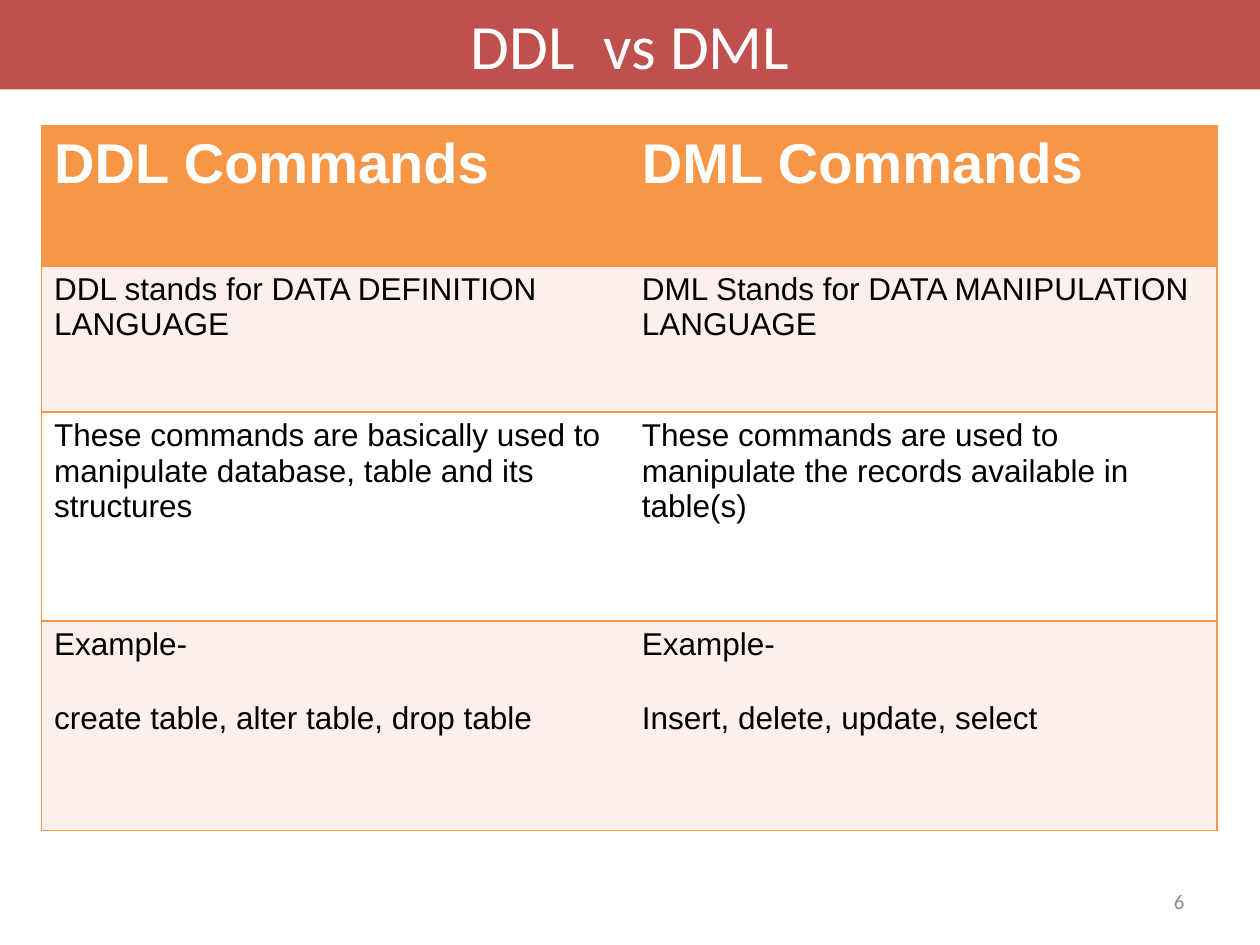
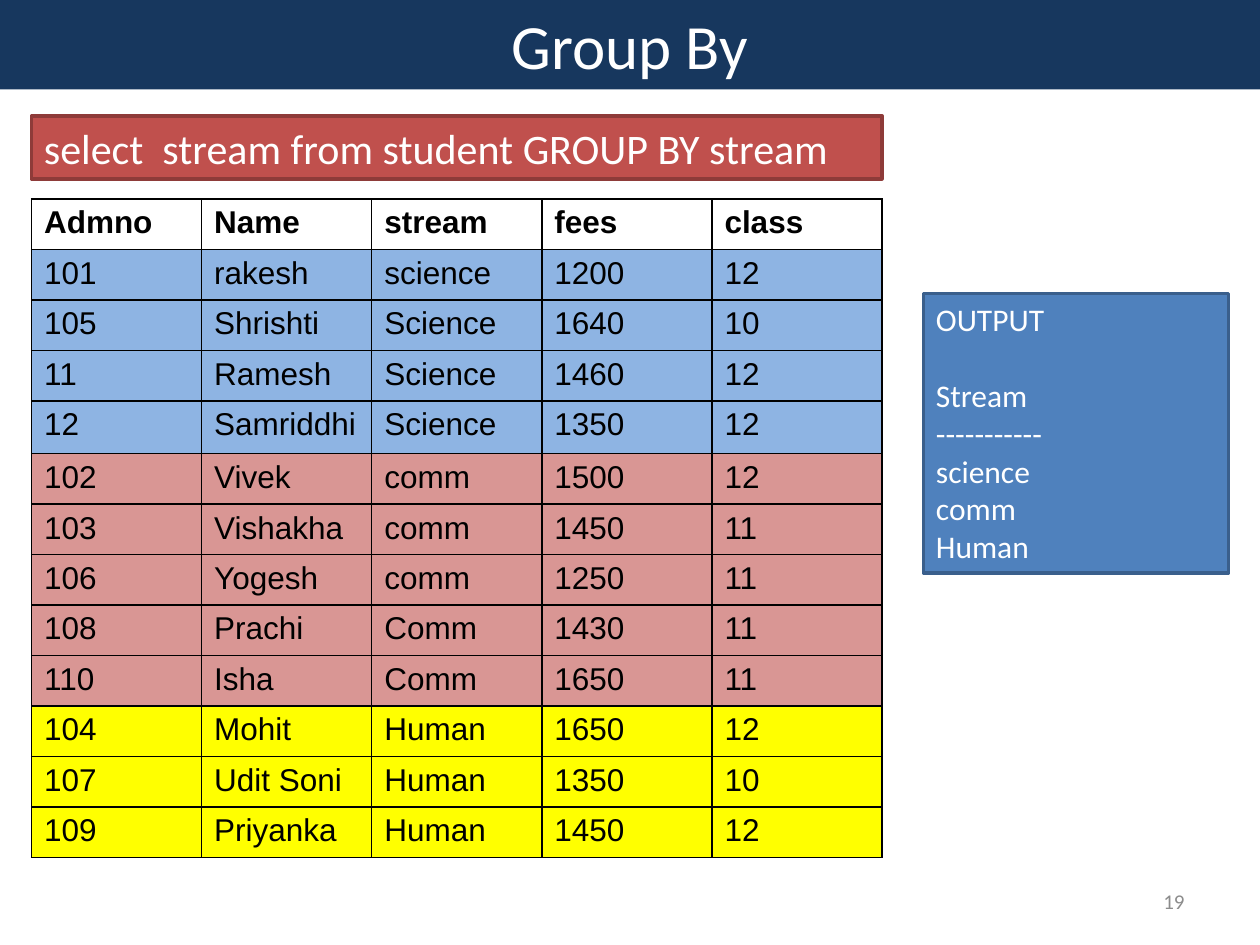
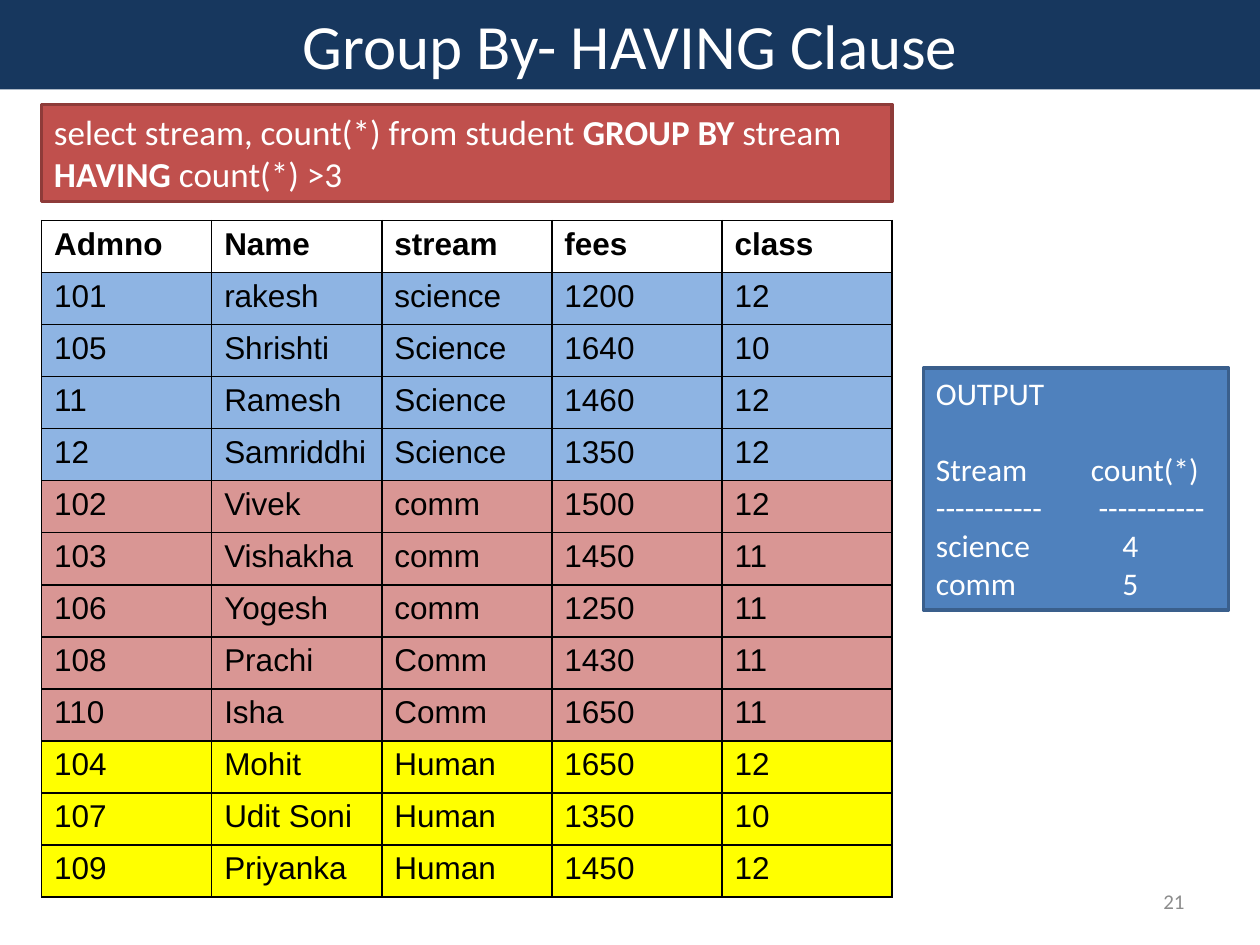
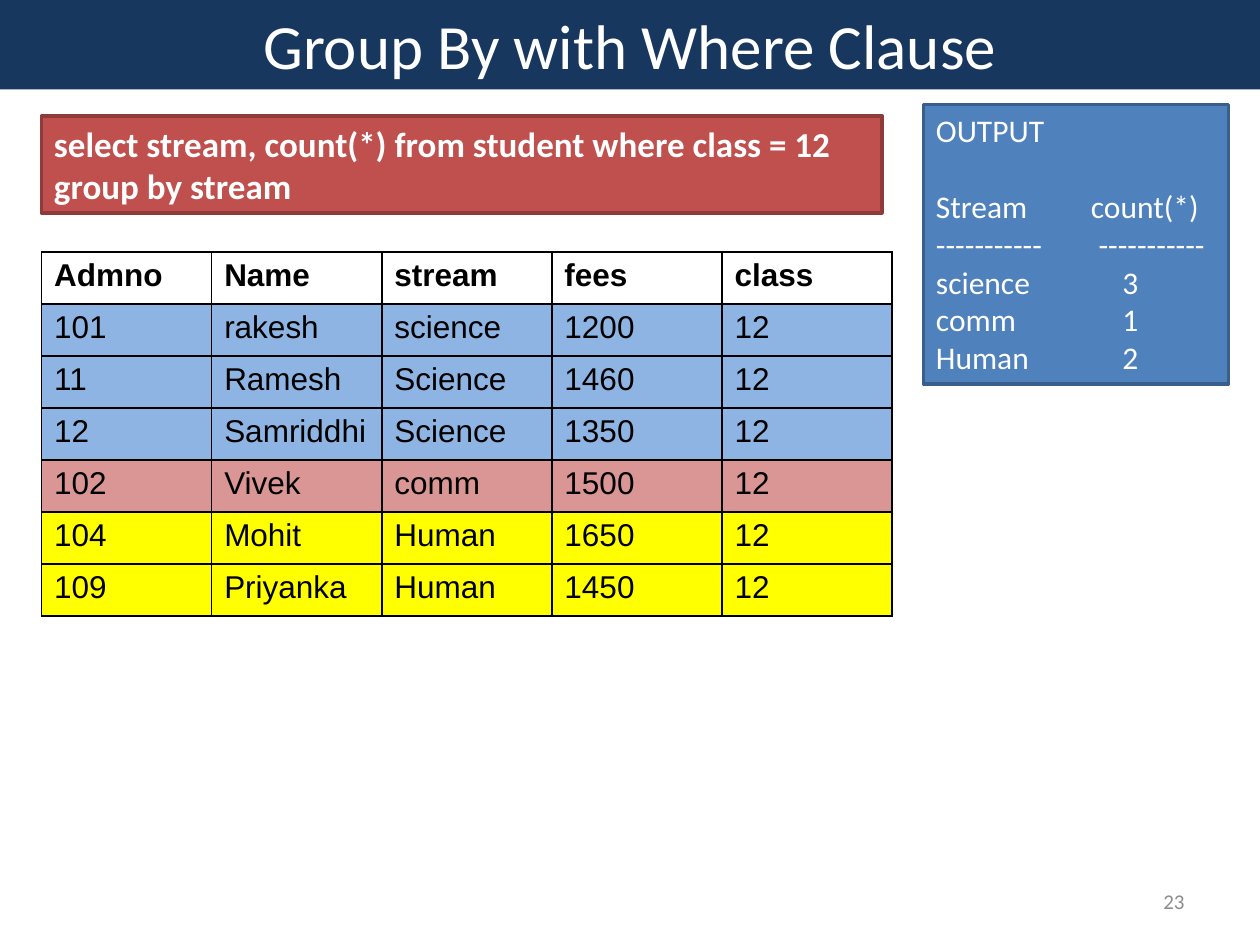
"""Build four slides on SQL commands and grouping."""
import dataclasses

import lxml.etree
import pptx
import pptx.dml.color
import pptx.enum.shapes
import pptx.enum.text
import pptx.oxml.ns
import pptx.util

Inches = pptx.util.Inches
Pt = pptx.util.Pt
RGB = pptx.dml.color.RGBColor.from_string
qn = pptx.oxml.ns.qn
Align = pptx.enum.text.PP_ALIGN
Anchor = pptx.enum.text.MSO_ANCHOR
Fit = pptx.enum.text.MSO_AUTO_SIZE


@dataclasses.dataclass(frozen=True)
class Theme:
    head: str = "Calibri"
    body: str = "Arial"
    white: str = "FFFFFF"
    black: str = "000000"
    grey: str = "8C8C8C"
    navy: str = "17375E"
    red: str = "C0504D"
    maroon: str = "8E3B39"
    blue: str = "4F81BD"
    steel: str = "3A5F8C"
    orange: str = "F79646"
    peach: str = "FDEFE9"
    sky: str = "8EB4E3"
    rose: str = "D99694"
    yellow: str = "FFFF00"
    title: int = 36
    banner: int = 32
    text: int = 18
    note: int = 12
    gap: int = 22


look = Theme()


def write(frame, lines, size, tint, face, align=Align.LEFT, gap=0):
    """Fill a frame with lines of (text, bold) runs, with a gap after the first."""
    frame.word_wrap = True
    for i, line in enumerate(lines):
        para = frame.paragraphs[0] if i == 0 else frame.add_paragraph()
        para.alignment = align
        if i == 0 and gap:
            para.space_after = Pt(gap)
        for text, bold in line:
            run = para.add_run()
            run.text = text
            run.font.size = Pt(size)
            run.font.name = face
            run.font.bold = bold
            run.font.color.rgb = RGB(tint)


def grid(slide, left, top, width, highs, cols):
    """Add an unstyled table with equal columns and the given row heights."""
    frame = slide.shapes.add_table(
        len(highs), cols, Inches(left), Inches(top), Inches(width), Inches(sum(highs)))
    table = frame.table
    table.first_row = table.horz_banding = False
    style = table._tbl.tblPr.find(qn("a:tableStyleId"))
    style.text = "{2D5ABB26-0587-4C30-8999-92F81FD0307C}"
    for row, high in zip(table.rows, highs):
        row.height = Inches(high)
    for col in table.columns:
        col.width = Inches(width / cols)
    return table


students = [
    ("101", "rakesh", "science", "1200", "12"),
    ("105", "Shrishti", "Science", "1640", "10"),
    ("11", "Ramesh", "Science", "1460", "12"),
    ("12", "Samriddhi", "Science", "1350", "12"),
    ("102", "Vivek", "comm", "1500", "12"),
    ("103", "Vishakha", "comm", "1450", "11"),
    ("106", "Yogesh", "comm", "1250", "11"),
    ("108", "Prachi", "Comm", "1430", "11"),
    ("110", "Isha", "Comm", "1650", "11"),
    ("104", "Mohit", "Human", "1650", "12"),
    ("107", "Udit Soni", "Human", "1350", "10"),
    ("109", "Priyanka", "Human", "1450", "12"),
]
fields = ("Admno", "Name", "stream", "fees", "class")
tints = {"science": look.sky, "comm": look.rose, "human": look.yellow}
senior = [row for row in students if row[4] == "12"]
dash = "-" * 11
counts = ["OUTPUT", "Stream\tcount(*)", dash + "\t" + dash]
stops = {"count(*)": 1.23, dash: 1.29}

commands = [
    (["DDL Commands"], ["DML Commands"]),
    (["DDL stands for DATA DEFINITION LANGUAGE"],
     ["DML Stands for DATA MANIPULATION LANGUAGE"]),
    (["These commands are basically used to manipulate database, table and its structures"],
     ["These commands are used to manipulate the records available in table(s)"]),
    (["Example-", "create table, alter table, drop table"],
     ["Example-", "Insert, delete, update, select"]),
]

pages = [
    dict(title="DDL  vs DML", num="6", band=look.red),
    dict(title="Group By", num="19", band=look.navy, rows=students,
         at=(0.25, 1.58), highs=[0.4] * 4 + [0.42] + [0.4] * 8,
         query=[("select  stream from student GROUP BY stream", False)],
         size=24, box=(0.25, 0.92, 6.75, 0.5),
         lines=["OUTPUT", "Stream", dash, "science", "comm", "Human"],
         out=(7.33, 2.33, 2.42, 2.22)),
    dict(title="Group By- HAVING Clause", num="21", band=look.navy, rows=students,
         at=(0.33, 1.75), highs=[5.37 / 13] * 13,
         query=[("select stream, count(*) from student ", False), ("GROUP BY", True),
                (" stream ", False), ("HAVING", True), (" count(*) >3", False)],
         size=20, box=(0.33, 0.83, 6.75, 0.77),
         lines=counts + ["science\t4", "comm\t5"],
         out=(7.33, 2.92, 2.42, 1.92)),
    dict(title="Group By with Where Clause", num="23", band=look.navy, rows=senior,
         at=(0.33, 2), highs=[2.89 / 7] * 7,
         query=[("select stream, count(*) from student where class = 12 group by stream", True)],
         size=20, box=(0.33, 0.92, 6.67, 0.77),
         lines=counts + ["science\t3", "comm\t1", "Human\t2"],
         out=(7.33, 0.83, 2.42, 2.22)),
]

deck = pptx.Presentation()
deck.slide_width = Inches(10)
deck.slide_height = Inches(7.5)

for page in pages:
    slide = deck.slides.add_slide(deck.slide_layouts[5])
    title = slide.shapes.title
    title.left, title.top = Inches(0), Inches(0)
    title.width, title.height = Inches(10), Inches(0.71)
    title.fill.solid()
    title.fill.fore_color.rgb = RGB(page["band"])
    title.text_frame.auto_size = Fit.NONE
    title.text_frame.vertical_anchor = Anchor.TOP
    write(title.text_frame, [[(page["title"], False)]],
          look.title, look.white, look.head, Align.CENTER)

    foot = slide.shapes.add_textbox(Inches(7.17), Inches(6.95), Inches(2.33), Inches(0.4))
    foot.text_frame.vertical_anchor = Anchor.MIDDLE
    write(foot.text_frame, [[(page["num"], False)]],
          look.note, look.grey, look.head, Align.RIGHT)

    if "rows" in page:
        table = grid(slide, *page["at"], 6.75, page["highs"], len(fields))
        cells = [[[text] for text in row] for row in [fields] + page["rows"]]
        fills = [None] + [tints[row[2].lower()] for row in page["rows"]]
        edge, first, big = look.black, look.black, look.text
    else:
        table = grid(slide, 0.33, 1, 9.33, [1.11, 1.16, 1.66, 1.66], 2)
        cells = commands
        fills = [look.orange, look.peach, look.white, look.peach]
        edge, first, big = look.orange, look.white, look.banner

    for r, row in enumerate(cells):
        for c, lines in enumerate(row):
            cell = table.cell(r, c)
            sides = "LRTB"
            if "rows" not in page:
                sides = "LTB" if c == 0 else "RTB"
            for side in sides:
                line = lxml.etree.SubElement(
                    cell._tc.get_or_add_tcPr(), qn("a:ln" + side), w=str(Pt(1)))
                solid = lxml.etree.SubElement(line, qn("a:solidFill"))
                lxml.etree.SubElement(solid, qn("a:srgbClr"), val=edge)
            if fills[r]:
                cell.fill.solid()
                cell.fill.fore_color.rgb = RGB(fills[r])
            else:
                cell.fill.background()
            write(cell.text_frame, [[(text, r == 0)] for text in lines],
                  big if r == 0 else look.text, first if r == 0 else look.black,
                  look.body, gap=look.gap if len(lines) > 1 else 0)

    if "rows" not in page:
        continue
    output = [[(text, False)] for text in page["lines"]]
    panels = [
        (page["out"], look.blue, look.steel, output, look.text, look.gap),
        (page["box"], look.red, look.maroon, [page["query"]], page["size"], 0),
    ]
    for place, fill, rim, lines, size, gap in panels:
        panel = slide.shapes.add_shape(
            pptx.enum.shapes.MSO_SHAPE.RECTANGLE, *[Inches(n) for n in place])
        panel.shadow.inherit = False
        panel.fill.solid()
        panel.fill.fore_color.rgb = RGB(fill)
        panel.line.color.rgb = RGB(rim)
        panel.line.width = Pt(2)
        panel.text_frame.vertical_anchor = Anchor.TOP
        write(panel.text_frame, lines, size, look.white, look.head, gap=gap)
        for para in panel.text_frame.paragraphs:
            if "\t" in para.text:
                stop = stops.get(para.text.split("\t")[1], 1.48)
                tabs = lxml.etree.SubElement(para._p.get_or_add_pPr(), qn("a:tabLst"))
                lxml.etree.SubElement(tabs, qn("a:tab"), pos=str(Inches(stop)), algn="l")

deck.save("out.pptx")
